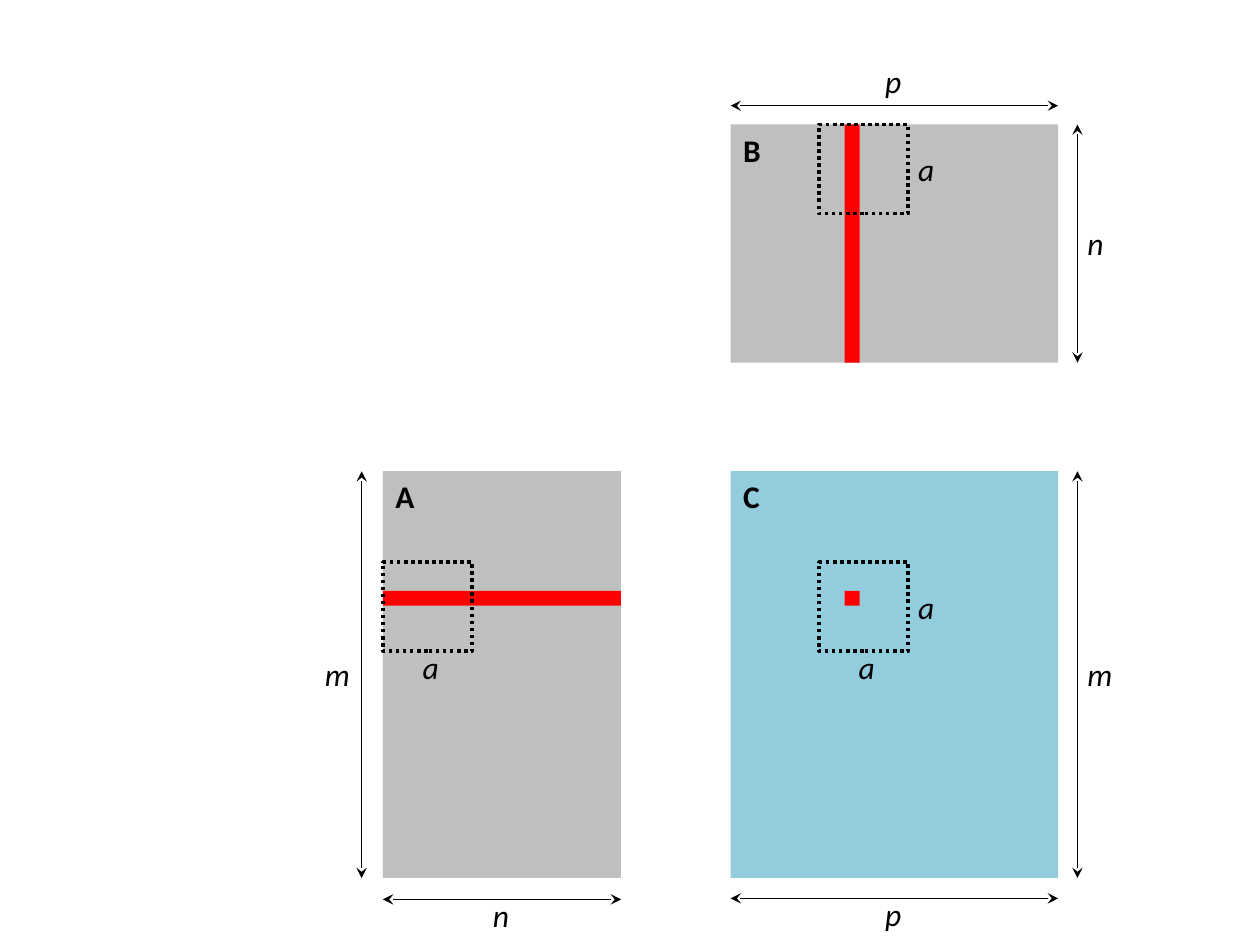
from lxml import etree
from pptx import Presentation
from pptx import util as u
from pptx.dml.color import RGBColor
from pptx.enum import dml, shapes, text
from pptx.oxml.ns import qn

GREY = RGBColor(0xBF, 0xBF, 0xBF)
BLUE = RGBColor(0x93, 0xCD, 0xDD)
RED = RGBColor(0xFF, 0x00, 0x00)
BLACK = RGBColor(0x00, 0x00, 0x00)

# All lengths in centimetres
M, N, P = 8.2, 4.8, 6.6            # matrix dimensions
A_LEFT, C_LEFT = 7.72, 14.73       # A is left of C
B_TOP, C_TOP = 2.51, 9.5           # B is above C
STRIP = 0.3                        # thickness of the row and the column
ROW_TOP, COLUMN_LEFT = C_TOP + 2.41, C_LEFT + 2.3
TILE = 1.8
TILE_LEFT, TILE_TOP = C_LEFT + 1.78, C_TOP + 1.83
LABEL_HEIGHT = 1.02
LABEL_WIDTHS = {"m": 1.02, "a": 0.84}


def add_rectangle(page, left, top, width, height, color):
    box = page.shapes.add_shape(
        shapes.MSO_SHAPE.RECTANGLE, u.Cm(left), u.Cm(top), u.Cm(width), u.Cm(height))
    box.shadow.inherit = False
    box.fill.solid()
    box.fill.fore_color.rgb = color
    box.line.fill.background()
    return box


def add_tile(page, left, top):
    box = add_rectangle(page, left, top, TILE, TILE, BLACK)
    box.fill.background()
    box.line.color.rgb = BLACK
    box.line.width = u.Pt(2)
    box.line.dash_style = dml.MSO_LINE.ROUND_DOT


def add_arrow(page, x1, y1, x2, y2):
    arrow = page.shapes.add_connector(
        shapes.MSO_CONNECTOR.STRAIGHT, u.Cm(x1), u.Cm(y1), u.Cm(x2), u.Cm(y2))
    arrow.line.color.rgb = BLACK
    arrow.line.width = u.Pt(0.75)
    line = arrow.line._get_or_add_ln()
    for end in ("a:headEnd", "a:tailEnd"):
        etree.SubElement(line, qn(end), type="stealth")
    etree.SubElement(arrow._element.spPr, qn("a:effectLst"))


def add_label(page, letter, left=None, top=None, center=None, middle=None):
    """Place a letter by its left or center, and by its top or middle."""
    width = LABEL_WIDTHS.get(letter, 0.87)
    if left is None:
        left = center - width / 2
    if top is None:
        top = middle - LABEL_HEIGHT / 2
    box = page.shapes.add_textbox(
        u.Cm(left), u.Cm(top), u.Cm(width), u.Cm(LABEL_HEIGHT))
    box.text_frame.word_wrap = False
    box.text_frame.auto_size = text.MSO_AUTO_SIZE.SHAPE_TO_FIT_TEXT
    para = box.text_frame.paragraphs[0]
    para.text = letter
    para.font.name = "Calibri"
    para.font.size = u.Pt(18)
    para.font.color.rgb = BLACK
    para.font.bold = letter.isupper()
    para.font.italic = letter.islower()


def add_horizontal_size(page, letter, left, width, y, label_top):
    add_arrow(page, left + width, y, left, y)
    add_label(page, letter, center=left + width / 2, top=label_top)


def add_vertical_size(page, letter, top, height, x, label_left):
    add_arrow(page, x, top, x, top + height)
    add_label(page, letter, left=label_left, middle=top + height / 2)


def main():
    deck = Presentation()
    deck.slide_width, deck.slide_height = u.Cm(25.4), u.Cm(19.05)
    page = deck.slides.add_slide(deck.slide_layouts[6])

    # Matrices with the row, the column and the resulting cell
    add_rectangle(page, A_LEFT, C_TOP, N, M, GREY)
    add_rectangle(page, A_LEFT, ROW_TOP, N, STRIP, RED)
    add_rectangle(page, C_LEFT, B_TOP, P, N, GREY)
    add_rectangle(page, COLUMN_LEFT, B_TOP, STRIP, N, RED)
    add_rectangle(page, C_LEFT, C_TOP, P, M, BLUE)
    add_rectangle(page, COLUMN_LEFT, ROW_TOP, STRIP, STRIP, RED)

    # Matrix names
    for name, left, top in (("A", A_LEFT, C_TOP), ("B", C_LEFT, B_TOP), ("C", C_LEFT, C_TOP)):
        add_label(page, name, left=left, top=top)

    # Matrix dimensions
    add_vertical_size(page, "m", C_TOP, M, 7.29, 6.3)
    add_vertical_size(page, "n", B_TOP, N, 21.72, 21.67)
    add_vertical_size(page, "m", C_TOP, M, 21.72, 21.67)
    add_horizontal_size(page, "n", A_LEFT, N, 18.13, 17.93)
    add_horizontal_size(page, "p", C_LEFT, P, 2.13, 1.12)
    add_horizontal_size(page, "p", C_LEFT, P, 18.11, 17.91)

    # Tiles and their sizes
    for left, top in ((TILE_LEFT, TILE_TOP), (A_LEFT, TILE_TOP), (TILE_LEFT, B_TOP)):
        add_tile(page, left, top)
    for left in (A_LEFT, TILE_LEFT):
        add_label(page, "a", center=left + TILE / 2 + 0.07, top=TILE_TOP + TILE - 0.2)
    for top in (TILE_TOP, B_TOP):
        add_label(page, "a", left=TILE_LEFT + TILE - 0.05, middle=top + TILE / 2)

    deck.save("out.pptx")


if __name__ == "__main__":
    main()
